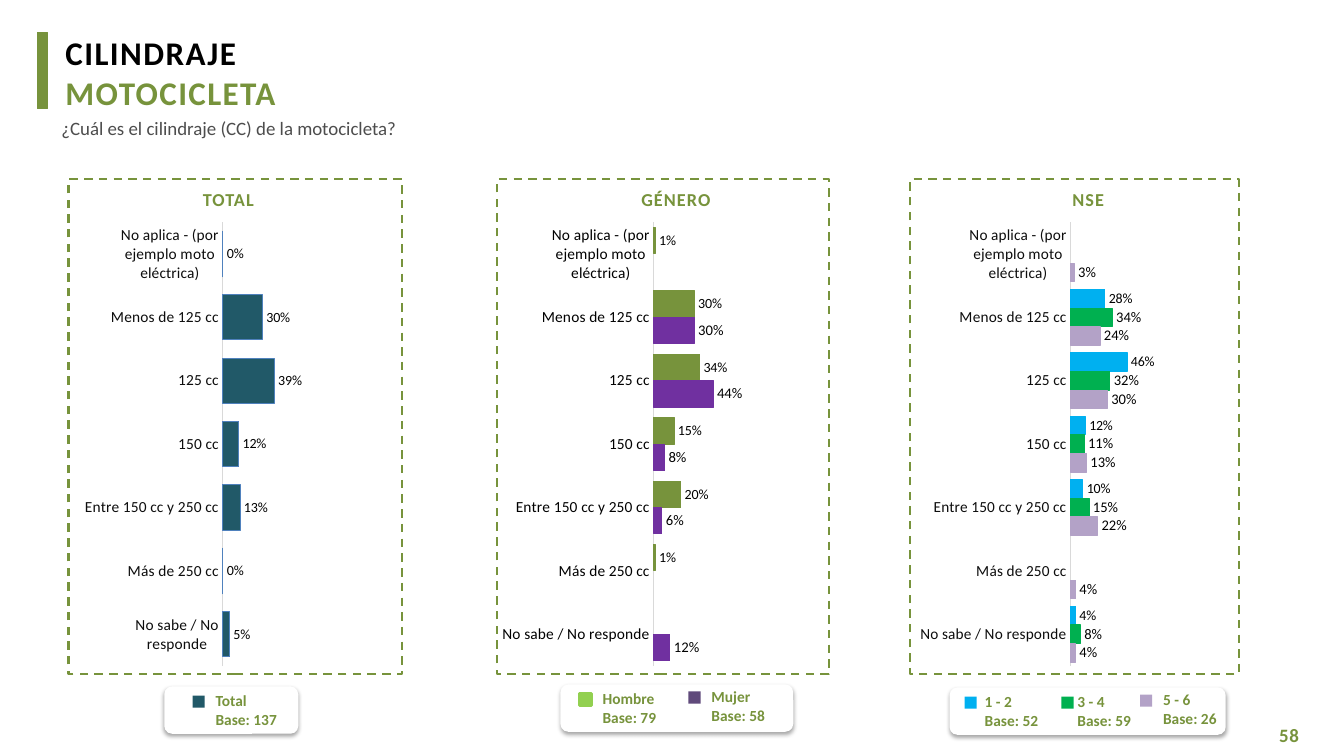
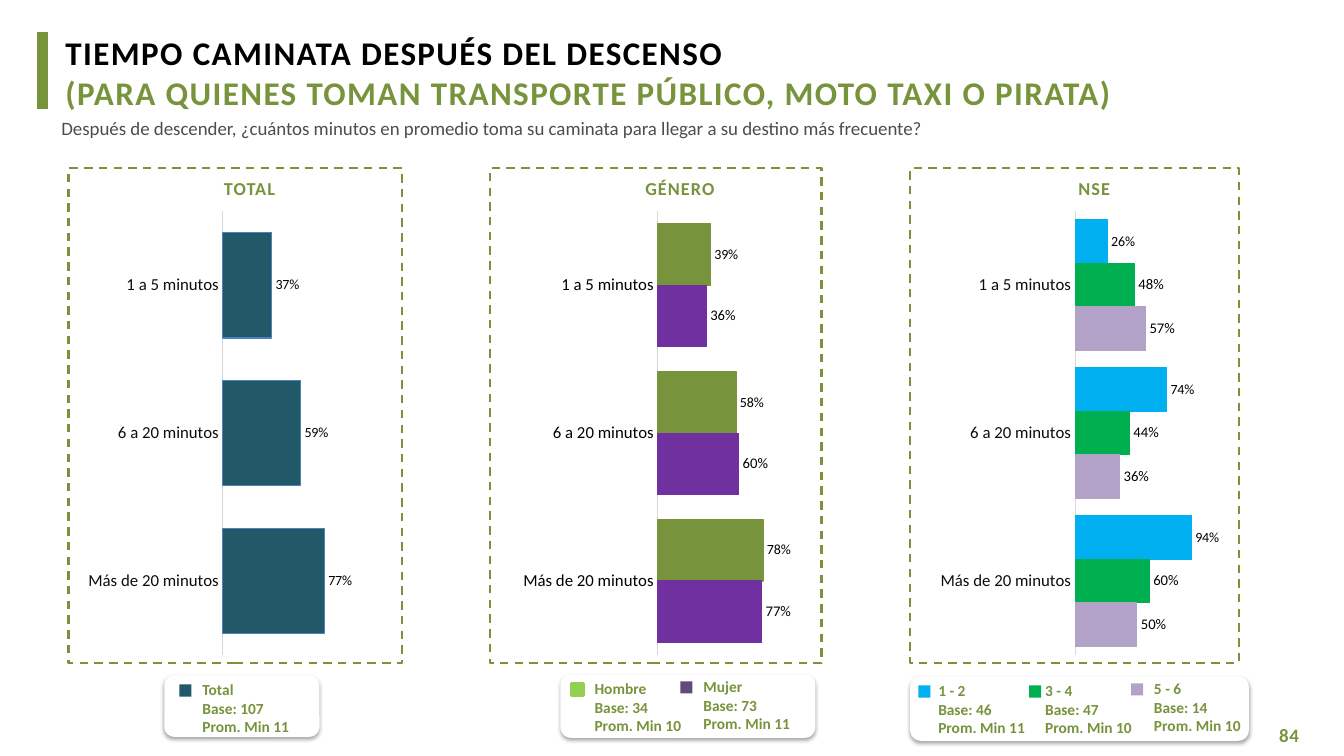
from dataclasses import dataclass

import pptx
import pptx.chart.data
import pptx.dml.color
import pptx.enum.chart
import pptx.enum.dml
import pptx.enum.shapes
import pptx.enum.text
import pptx.oxml
import pptx.oxml.ns
import pptx.util

COLUMNS, ROWS = 133.33, 75
CELL = pptx.util.Inches(0.1)
ALIGN = pptx.enum.text.PP_ALIGN
SHAPE = pptx.enum.shapes.MSO_SHAPE
NAMESPACES = pptx.oxml.ns.nsdecls("a", "c")


@dataclass(frozen=True)
class Theme:
    """Colours, font and type sizes shared by the slides."""
    font: str = "Calibri"
    green: str = "77933C"
    black: str = "000000"
    soft_black: str = "0D0D0D"
    grey: str = "4D4D4D"
    axis: str = "D9D9D9"
    white: str = "FFFFFF"
    teal: str = "215968"
    blue: str = "4F81BD"
    purple: str = "7030A0"
    dusk: str = "604A7B"
    lime: str = "92D050"
    sky: str = "00B0F0"
    emerald: str = "00B050"
    lilac: str = "B3A2C7"
    title: float = 23.6
    body: float = 13.5
    heading: float = 13
    legend: float = 11
    first_label: float = 10
    label: float = 10.5


THEME = Theme()


@dataclass(frozen=True)
class Box:
    """A rectangle measured in grid cells."""
    left: float
    top: float
    width: float
    height: float

    def inside(self, left, top, width, height):
        """Return a box placed relative to this one."""
        return Box(self.left + left, self.top + top, width, height)

    def place(self):
        """Return the slide lengths of the box."""
        return [round(cells * CELL) for cells in (self.left, self.top, self.width, self.height)]


@dataclass(frozen=True)
class Key:
    """A legend key: its name, colour, text gap, rise and outline."""
    name: str
    color: str
    gap: float = 1.3
    rise: float = 0
    outline: float = 0


@dataclass(frozen=True)
class Breakdown:
    """A way of splitting the answers, with its bar colours and legend keys."""
    heading: str
    width: float
    chart_width: float
    plot: tuple
    category_color: str
    bars: tuple
    keys: tuple


TOTAL = Breakdown("TOTAL", 33.1, 34.4, (0.422, 0.38), THEME.soft_black,
                  ((THEME.teal, THEME.blue),), (Key("Total", THEME.teal),))
GENDER = Breakdown("GÉNERO", 32.9, 35.6, (0.426, 0.376), THEME.black,
                   ((THEME.green, THEME.green), (THEME.purple, THEME.purple)),
                   (Key("Hombre", THEME.lime, outline=2), Key("Mujer", THEME.dusk, rise=0.2)))
LEVEL = Breakdown("NSE", 32.6, 33.7, (0.438, 0.364), THEME.soft_black,
                  tuple((color, color) for color in (THEME.sky, THEME.emerald, THEME.lilac)),
                  (Key("1 - 2", THEME.sky, gap=1), Key("3 - 4", THEME.emerald, gap=0.6),
                   Key("5 - 6", THEME.lilac, rise=0.2)))


@dataclass(frozen=True)
class Panel:
    """The values and placing of one breakdown on a slide."""
    breakdown: Breakdown
    left: float
    heading_left: float
    chart_left: float
    card: tuple
    key_lefts: tuple
    notes: tuple
    values: tuple


def rgb(color):
    """Turn a hex string into a colour."""
    return pptx.dml.color.RGBColor.from_string(color)


def style_font(font, size, color, bold=False):
    """Set the face, size, colour and weight of a font."""
    font.name, font.size, font.bold = THEME.font, pptx.util.Pt(size), bold
    font.color.rgb = rgb(color)


def add_text(shapes, box, lines, size, colors, bold=False, spacing=0, align=ALIGN.LEFT,
             insets=(0.1, 0.1, 0, 0), space_before=0):
    """Write one paragraph per line, coloured in turn."""
    frame = shapes.add_textbox(*box.place()).text_frame
    frame.word_wrap = True
    frame.margin_left, frame.margin_top, frame.margin_right, frame.margin_bottom = [
        round(inset * CELL) for inset in insets]
    for index, (line, color) in enumerate(zip(lines, colors)):
        paragraph = frame.add_paragraph() if index else frame.paragraphs[0]
        paragraph.text, paragraph.alignment = line, align
        if index:
            paragraph.space_before = pptx.util.Pt(space_before)
        style_font(paragraph.font, size, color, bold)
        if spacing:
            properties = paragraph._p.get_or_add_pPr().get_or_add_defRPr()
            properties.set("spc", str(round(spacing * 100)))


def add_block(shapes, kind, box, fill=None, line=None, weight=0.75):
    """Draw a preset shape without shadow."""
    shape = shapes.add_shape(kind, *box.place())
    shape.shadow.inherit = False
    if fill:
        shape.fill.solid()
        shape.fill.fore_color.rgb = rgb(fill)
    else:
        shape.fill.background()
    if line:
        shape.line.color.rgb = rgb(line)
        shape.line.width = pptx.util.Pt(weight)
    else:
        shape.line.fill.background()
    return shape


def add_soft_shadow(shape):
    """Give a shape a soft shadow straight below it."""
    effects = shape._element.spPr.find(pptx.oxml.ns.qn("a:effectLst"))
    effects.append(pptx.oxml.parse_xml(
        f'<a:outerShdw {NAMESPACES} blurRad="{pptx.util.Pt(3.1)}" dist="{pptx.util.Pt(1.8)}" '
        f'dir="5400000" algn="t" rotWithShape="0"><a:srgbClr val="{THEME.black}">'
        '<a:alpha val="35000"/></a:srgbClr></a:outerShdw>'))


def add_header(slide, box, title, question, number):
    """Place the accent bar, two-line title, question and page number."""
    add_block(slide.shapes, SHAPE.RECTANGLE, box.inside(3.7, 3.2, 1, 7.6), THEME.green, THEME.green)
    add_text(slide.shapes, box.inside(6.4, 3.1, 115, 8.2), title, THEME.title,
             (THEME.black, THEME.green), True, 1, space_before=0.7)
    add_text(slide.shapes, box.inside(6, 11.5, 99.3, 2.4), [question], THEME.body, [THEME.grey])
    add_text(slide.shapes, box.inside(126.3, 71.7, 4.9, 2.4), [number], THEME.body,
             [THEME.green], True, 0.6, insets=(0.6, 0.1, 0, 0))


def add_legend(slide, box, panel):
    """Draw the legend card with a swatch and notes for each key."""
    shapes = slide.shapes.add_group_shape().shapes
    add_soft_shadow(add_block(shapes, SHAPE.ROUNDED_RECTANGLE, box, THEME.white))
    for key, left, notes in zip(panel.breakdown.keys, panel.key_lefts, panel.notes):
        add_block(shapes, SHAPE.RECTANGLE, box.inside(left, 0.9 - key.rise, 1.2, 1.2),
                  key.color, key.color if key.outline else None, key.outline)
        lines = (key.name, *notes)
        add_text(shapes, box.inside(left + key.gap, -key.rise, 12, box.height), lines,
                 THEME.legend, [THEME.green] * len(lines), True, insets=(1, 0.5, 0, 0.5))


def set_plot_layout(chart, left, width):
    """Fix the inner plot area and clear the chart backgrounds."""
    area = chart._chartSpace.chart.plotArea
    for layout in area.findall(pptx.oxml.ns.qn("c:layout")):
        area.remove(layout)
    places = (("x", left), ("y", 0.037), ("w", width), ("h", 0.927))
    parts = ['<c:layoutTarget val="inner"/>', '<c:xMode val="edge"/>', '<c:yMode val="edge"/>']
    parts += [f'<c:{name} val="{share}"/>' for name, share in places]
    area.insert(0, pptx.oxml.parse_xml(
        f'<c:layout {NAMESPACES}><c:manualLayout>{"".join(parts)}</c:manualLayout></c:layout>'))
    clear = f'<c:spPr {NAMESPACES}><a:noFill/><a:ln><a:noFill/></a:ln></c:spPr>'
    area.append(pptx.oxml.parse_xml(clear))
    chart._chartSpace.chart.addnext(pptx.oxml.parse_xml(clear))


def add_bars(slide, box, panel, categories, category_size):
    """Draw the bar chart of a panel."""
    breakdown = panel.breakdown
    data = pptx.chart.data.CategoryChartData(number_format="0%")
    data.categories = categories
    for index, values in enumerate(panel.values, 1):
        data.add_series(f"Series {index}", values)
    chart = slide.shapes.add_chart(pptx.enum.chart.XL_CHART_TYPE.BAR_CLUSTERED,
                                   *box.place(), data).chart
    chart.has_legend = chart.has_title = False
    style_font(chart.font, THEME.first_label, THEME.black)
    set_plot_layout(chart, *breakdown.plot)
    category_axis, value_axis = chart.category_axis, chart.value_axis
    category_axis.reverse_order = True
    category_axis.major_tick_mark = pptx.enum.chart.XL_TICK_MARK.NONE
    category_axis.format.line.color.rgb = rgb(THEME.axis)
    category_axis.format.line.width = pptx.util.Pt(0.75)
    style_font(category_axis.tick_labels.font, category_size, breakdown.category_color)
    value_axis.visible = value_axis.has_major_gridlines = False
    value_axis.minimum_scale, value_axis.maximum_scale = 0, 1
    plot = chart.plots[0]
    plot.gap_width, plot.overlap, plot.vary_by_categories = 40, 0, False
    for index, (series, (fill, line)) in enumerate(zip(plot.series, breakdown.bars)):
        series.format.fill.solid()
        series.format.fill.fore_color.rgb = rgb(fill)
        series.format.line.color.rgb = rgb(line)
        series.format.line.width = pptx.util.Pt(0.75)
        labels = series.data_labels
        labels.show_value = True
        labels.number_format, labels.number_format_is_linked = "###0%", False
        labels.position = pptx.enum.chart.XL_LABEL_POSITION.OUTSIDE_END
        style_font(labels.font, THEME.label if index else THEME.first_label, THEME.black)


def add_panel(slide, box, panel, categories, category_size):
    """Place a dashed frame with its heading, chart and legend."""
    frame = add_block(slide.shapes, SHAPE.RECTANGLE, box, line=THEME.green, weight=1.5)
    frame.line.dash_style = pptx.enum.dml.MSO_LINE.DASH
    add_text(slide.shapes, box.inside(panel.heading_left, 0.75, 23.6, 2.3),
             [panel.breakdown.heading], THEME.heading, [THEME.green], True, 0.8, ALIGN.CENTER)
    add_legend(slide, box.inside(*panel.card), panel)
    add_bars(slide, box.inside(panel.chart_left, 2.5, panel.breakdown.chart_width, 47.5),
             panel, categories, category_size)


def add_survey_slide(presentation, title, question, number, top, categories, category_size, panels):
    """Add a slide with a header and a row of panels."""
    slide = presentation.slides.add_slide(presentation.slide_layouts[6])
    page = Box(0, 0, COLUMNS, ROWS)
    add_header(slide, page, title, question, number)
    for panel in panels:
        add_panel(slide, page.inside(panel.left, top, panel.breakdown.width, 49.1),
                  panel, categories, category_size)


def main():
    """Build and save the presentation."""
    presentation = pptx.Presentation()
    presentation.slide_width = round(COLUMNS * CELL)
    presentation.slide_height = ROWS * CELL
    add_survey_slide(
        presentation, ("CILINDRAJE", "MOTOCICLETA"),
        "¿Cuál es el cilindraje (CC) de la motocicleta?", "58", 17.8,
        ("No aplica - (por ejemplo moto eléctrica)", "Menos de 125 cc", "125 cc", "150 cc",
         "Entre 150 cc y 250 cc", "Más de 250 cc", "No sabe / No responde"), 11,
        (Panel(TOTAL, 6.8, 4, 0.8, (9.5, 50.3, 13.3, 4.7), (2.8,), (("Base: 137",),),
               ((0, 0.3, 0.39, 0.12, 0.13, 0, 0.05),)),
         Panel(GENDER, 49.3, 5.9, 0.4, (6.3, 50.1, 23.1, 4.7), (1.9, 12.7),
               (("Base: 79",), ("Base: 58",)),
               ((0.01, 0.3, 0.34, 0.15, 0.2, 0.01, None),
                (None, 0.3, 0.44, 0.08, 0.06, None, 0.12))),
         Panel(LEVEL, 90.3, 5.8, 1, (3.9, 50.4, 27.4, 4.7), (1.5, 11.1, 18.9),
               (("Base: 52",), ("Base: 59",), ("Base: 26",)),
               ((None, 0.28, 0.46, 0.12, 0.1, None, 0.04),
                (None, 0.34, 0.32, 0.11, 0.15, None, 0.08),
                (0.03, 0.24, 0.3, 0.13, 0.22, 0.04, 0.04)))))
    add_survey_slide(
        presentation, ("TIEMPO CAMINATA DESPUÉS DEL DESCENSO",
                       "(PARA QUIENES TOMAN TRANSPORTE PÚBLICO, MOTO TAXI O PIRATA)"),
        "Después de descender, ¿cuántos minutos en promedio toma su caminata "
        "para llegar a su destino más frecuente?", "84", 16.7,
        ("1 a 5 minutos", "6 a 20 minutos", "Más de 20 minutos"), 12,
        (Panel(TOTAL, 6.8, 6.1, 0.8, (9.5, 50.3, 15.4, 6.1), (1.5,),
               (("Base: 107", "Prom. Min 11"),), ((0.37, 0.59, 0.77),)),
         Panel(GENDER, 48.6, 7, 1.5, (7, 50.2, 25.3, 6.3), (1.1, 11.9),
               (("Base: 34", "Prom. Min 10"), ("Base: 73", "Prom. Min 11")),
               ((0.39, 0.58, 0.78), (0.36, 0.6, 0.77))),
         Panel(LEVEL, 90.3, 6.4, 1.6, (0, 50.4, 33.6, 6.4), (0.8, 11.8, 21.9),
               (("Base: 46", "Prom. Min 11"), ("Base: 47", "Prom. Min 10"),
                ("Base: 14", "Prom. Min 10")),
               ((0.26, 0.74, 0.94), (0.48, 0.44, 0.6), (0.57, 0.36, 0.5)))))
    presentation.save("out.pptx")


if __name__ == "__main__":
    main()
